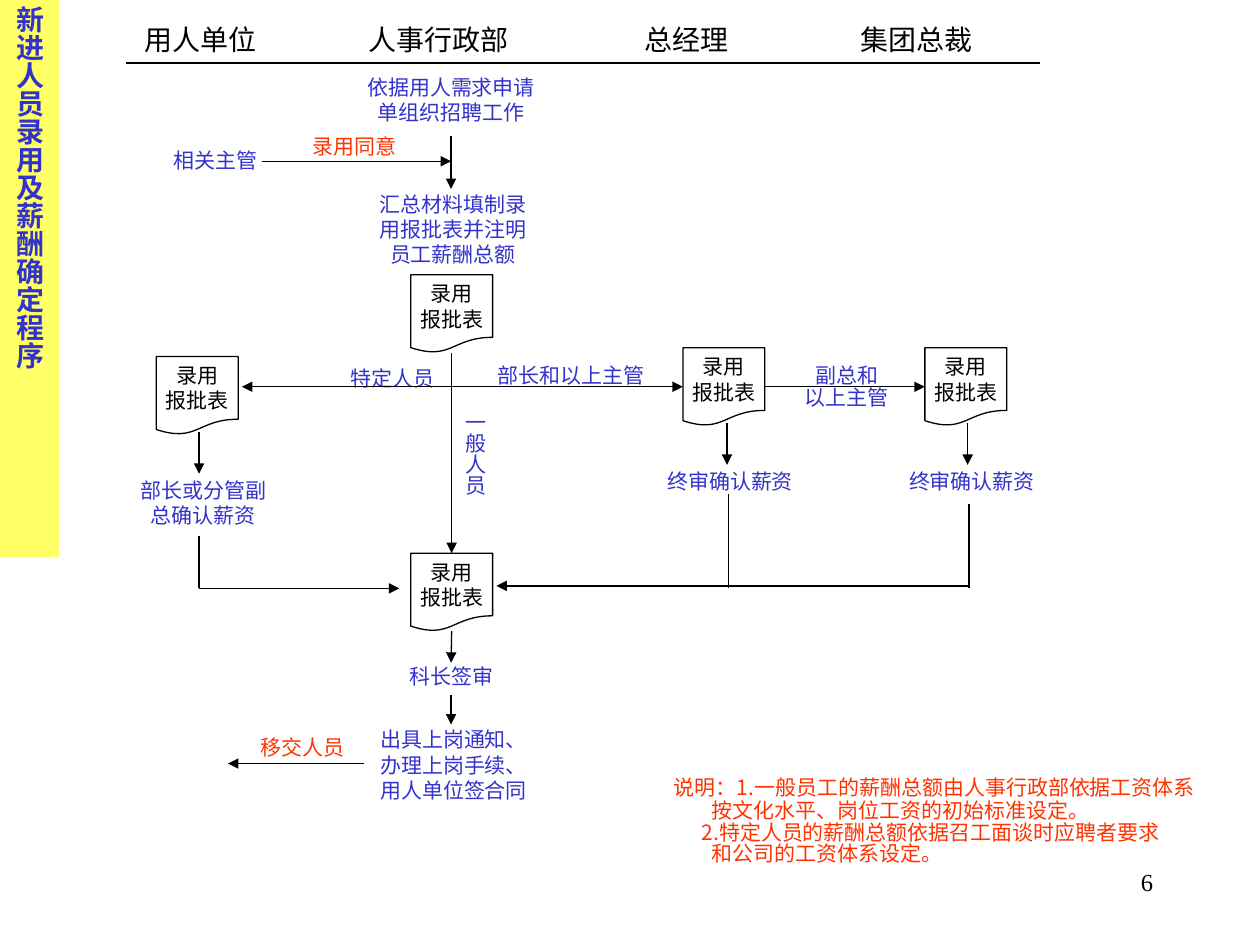
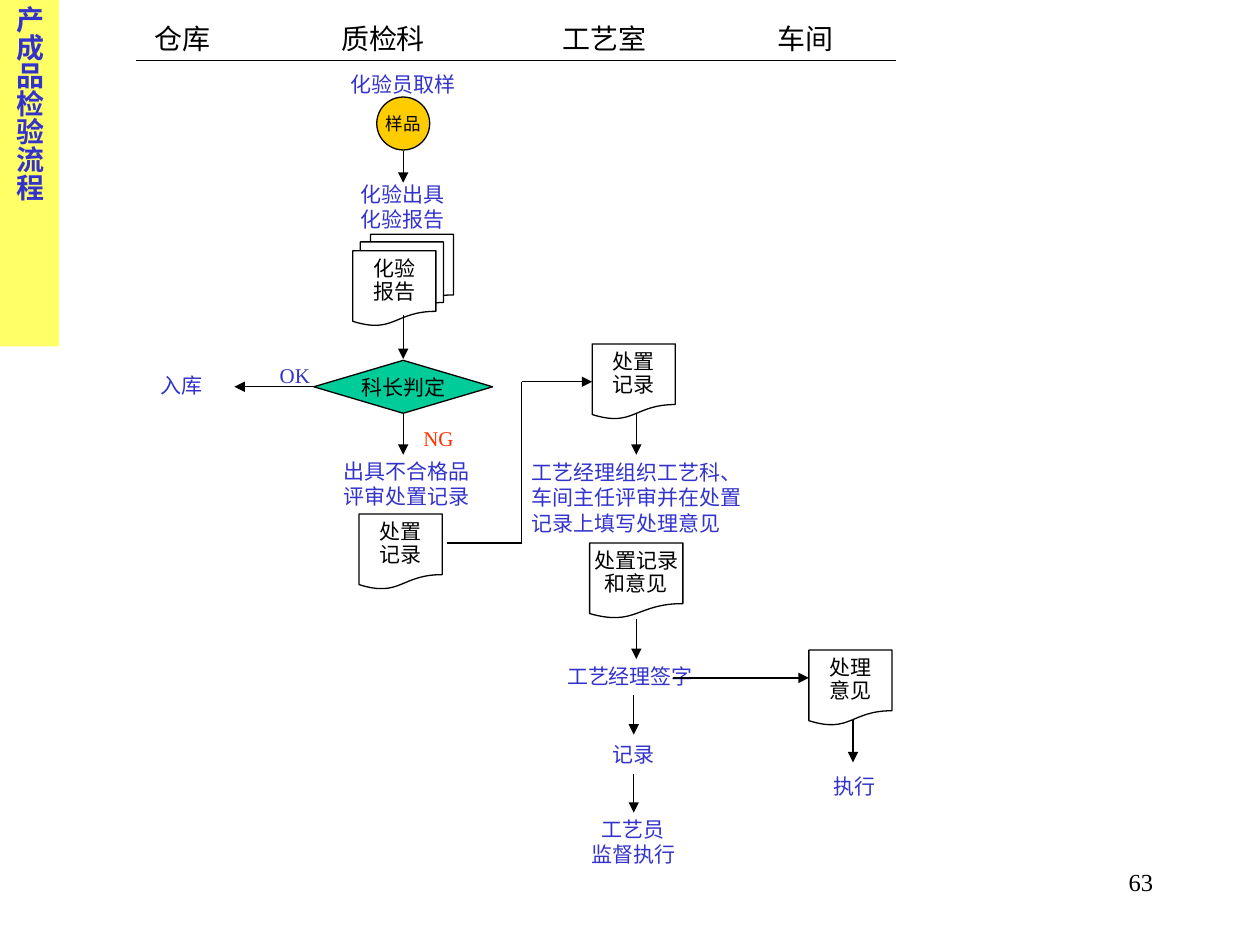
from lxml.etree import SubElement
from pptx import Presentation
from pptx.dml.color import RGBColor
from pptx.enum.shapes import MSO_CONNECTOR, MSO_SHAPE as SHAPE
from pptx.enum.text import MSO_ANCHOR, PP_ALIGN as ALIGN
from pptx.oxml.ns import qn
from pptx.util import Inches, Pt

BLACK, WHITE, BLUE, RED = "000000", "FFFFFF", "3333CC", "FF3300"
BAND, GREEN, AMBER = "FFFF66", "00CC99", "FFCC00"
LATIN, CHINESE = "Times New Roman", "Noto Sans CJK SC"
TOP, LEFT, BOTTOM, RIGHT = range(4)


def write(shape, text, size=12, color=BLUE, align=ALIGN.CENTER, bold=False,
          spacing=1.0, latin=LATIN):
    """Fill a shape with one paragraph per line of text."""
    frame = shape.text_frame
    for index, line in enumerate(text.split("\n")):
        paragraph = frame.add_paragraph() if index else frame.paragraphs[0]
        paragraph.alignment = align
        paragraph.line_spacing = spacing
        paragraph.space_before = Pt(0)
        run = paragraph.add_run()
        run.text = line
        run.font.size = Pt(size)
        run.font.bold = bold
        run.font.name = latin
        run.font.color.rgb = RGBColor.from_string(color)
        SubElement(run.font._element, qn("a:ea"), typeface=CHINESE)
    return frame


def connect(slide, x1, y1, x2, y2, arrow=True, begin=None, end=None):
    """Draw a thin line; begin and end are (shape, side) joints."""
    connector = slide.shapes.add_connector(
        MSO_CONNECTOR.STRAIGHT, Inches(x1), Inches(y1), Inches(x2), Inches(y2))
    if begin:
        connector.begin_connect(*begin)
    if end:
        connector.end_connect(*end)
    connector.line.width = Pt(0.75)
    connector.line.color.rgb = RGBColor.from_string(BLACK)
    if arrow:
        SubElement(connector.line._get_or_add_ln(), qn("a:tailEnd"), type="triangle")
    SubElement(connector._element.spPr, qn("a:effectLst"))


presentation = Presentation()
presentation.slide_width, presentation.slide_height = Inches(10), Inches(7.5)

# Title band, lane headings, rule and page number of each slide
pages = [
    ("新进人员录用及薪酬确定程序", 4.42, 0.18, (1, 8.25, 0.5), "6",
     [(1.05, "用人单位"), (2.83, "人事行政部"), (5.02, "总经理"), (6.73, "集团总裁")]),
    ("产成品检验流程", 2.75, 0.17, (1.08, 7.11, 0.48), "63",
     [(1.13, "仓库"), (2.61, "质检科"), (4.37, "工艺室"), (6.07, "车间")]),
]
# Step texts: left, top, width, height, text, colour, alignment
steps = [
    [
        (2.79, 0.54, 1.58, 0.5, "依据用人需求申请单组织招聘工作", BLUE, ALIGN.CENTER),
        (1.25, 1.12, 0.92, 0.3, "相关主管", BLUE, ALIGN.CENTER),
        (2.38, 1.01, 1.04, 0.3, "录用同意", RED, ALIGN.LEFT),
        (2.9, 1.47, 1.39, 0.7, "汇总材料填制录用报批表并注明员工薪酬总额", BLUE, ALIGN.CENTER),
        (2.5, 2.85, 1.23, 0.3, "特定人员", BLUE, ALIGN.CENTER),
        (3.83, 2.83, 1.4, 0.3, "部长和以上主管", BLUE, ALIGN.CENTER),
        (1, 3.74, 1.23, 0.5, "部长或分管副总确认薪资", BLUE, ALIGN.CENTER),
        (5.18, 3.67, 1.23, 0.3, "终审确认薪资", BLUE, ALIGN.CENTER),
        (7.1, 3.67, 1.23, 0.3, "终审确认薪资", BLUE, ALIGN.CENTER),
        (2.96, 5.22, 1.25, 0.3, "科长签审", BLUE, ALIGN.CENTER),
        (2.89, 5.72, 1.42, 0.7, "出具上岗通知、办理上岗手续、用人单位签合同", BLUE, ALIGN.CENTER),
        (1.97, 5.78, 1, 0.3, "移交人员", RED, ALIGN.LEFT),
    ],
    [
        (2.66, 0.52, 1.08, 0.3, "化验员取样", BLUE, ALIGN.CENTER),
        (2.71, 1.39, 0.97, 0.5, "化验出具化验报告", BLUE, ALIGN.CENTER),
        (2.05, 2.83, 0.58, 0.3, "OK", BLUE, ALIGN.CENTER),
        (1.15, 2.91, 0.58, 0.3, "入库", BLUE, ALIGN.CENTER),
        (3.19, 3.33, 0.58, 0.3, "NG", RED, ALIGN.CENTER),
        (2.6, 3.59, 1.25, 0.5, "出具不合格品评审处置记录", BLUE, ALIGN.CENTER),
        (4.12, 3.6, 1.89, 0.7, "工艺经理组织工艺科、车间主任评审并在处置记录上填写处理意见",
         BLUE, ALIGN.LEFT),
        (4.34, 5.22, 1.32, 0.3, "工艺经理签字", BLUE, ALIGN.CENTER),
        (4.58, 5.84, 0.9, 0.3, "记录", BLUE, ALIGN.CENTER),
        (4.54, 6.43, 0.97, 0.5, "工艺员\n监督执行", BLUE, ALIGN.CENTER),
        (6.33, 6.09, 0.9, 0.3, "执行", BLUE, ALIGN.CENTER),
    ],
]
# Nodes: name, preset, left, top, width, height, fill, text, text size, line spacing
DOCUMENT = SHAPE.FLOWCHART_DOCUMENT
FORM = "录用\n报批表"
nodes = [
    [(name, DOCUMENT, x, y, 0.65, 0.62, WHITE, FORM, 12, 1.0) for name, x, y in [
        ("draft", 3.26, 2.18), ("unit", 1.24, 2.83), ("manager", 5.42, 2.76),
        ("president", 7.34, 2.76), ("approved", 3.26, 4.39)]],
    [("sample", SHAPE.OVAL, 2.99, 0.77, 0.42, 0.42, AMBER, "样品", 10, 1.0),
     ("decision", SHAPE.FLOWCHART_DECISION, 2.49, 2.86, 1.42, 0.42, GREEN, "科长判定", 12, 1.0)]
    + [(name, DOCUMENT, x, y, width, 0.6, WHITE, text, 12, 0.9)
       for name, x, y, width, text in [
           ("copy 2", 2.94, 1.86, 0.66, ""), ("copy 1", 2.86, 1.92, 0.66, ""),
           ("report", 2.8, 1.99, 0.66, "化验\n报告"),
           ("record", 2.85, 4.08, 0.66, "处置\n记录"),
           ("review", 4.7, 2.73, 0.66, "处置\n记录"),
           ("opinion", 4.68, 4.31, 0.74, "处置记录\n和意见"),
           ("order", 6.42, 5.16, 0.66, "处理\n意见")]],
]

slides, node = [], {}
for page, page_steps, page_nodes in zip(pages, steps, nodes):
    title, band_height, heading_top, (rule_left, rule_right, rule_y), number, headings = page
    slide = presentation.slides.add_slide(presentation.slide_layouts[5])
    slides.append(slide)

    # Vertical title on the yellow band
    band = slide.shapes.title
    band.left, band.top = Inches(0), Inches(0)
    band.width, band.height = Inches(0.47), Inches(band_height)
    band.fill.solid()
    band.fill.fore_color.rgb = RGBColor.from_string(BAND)
    frame = write(band, title, 16, BLUE, ALIGN.JUSTIFY, True)
    frame.vertical_anchor = MSO_ANCHOR.TOP
    frame._txBody.bodyPr.set("vert", "eaVert")

    # Lane headings and rule
    for x, heading in headings:
        box = slide.shapes.add_textbox(Inches(x), Inches(heading_top), Inches(1.6), Inches(0.31))
        write(box, heading, 16, BLACK, ALIGN.LEFT, spacing=0.8).word_wrap = True
    connect(slide, rule_left, rule_y, rule_right, rule_y, arrow=False)

    # Step texts
    for x, y, width, height, text, color, align in page_steps:
        box = slide.shapes.add_textbox(Inches(x), Inches(y), Inches(width), Inches(height))
        write(box, text, color=color, align=align).word_wrap = True

    # Documents, sample and decision
    for name, preset, x, y, width, height, fill, text, size, spacing in page_nodes:
        shape = slide.shapes.add_shape(preset, Inches(x), Inches(y), Inches(width), Inches(height))
        shape.shadow.inherit = False
        shape.fill.solid()
        shape.fill.fore_color.rgb = RGBColor.from_string(fill)
        shape.line.width = Pt(0.75)
        shape.line.color.rgb = RGBColor.from_string(BLACK)
        if text:
            frame = write(shape, text, size, BLACK, spacing=spacing)
            frame.word_wrap = False
            frame.vertical_anchor = MSO_ANCHOR.MIDDLE
        node[name] = shape

    # Page number
    box = slide.shapes.add_textbox(Inches(7.17), Inches(6.83), Inches(2.08), Inches(0.5))
    write(box, number, 14, BLACK, ALIGN.RIGHT).word_wrap = True

hiring, inspection = slides

# Hiring: vertical branch label
box = hiring.shapes.add_textbox(Inches(3.52), Inches(3.17), Inches(0.4), Inches(1))
frame = write(box, "一般人员", align=ALIGN.LEFT)
frame.word_wrap = True
frame._txBody.bodyPr.set("vert", "eaVert")

# Hiring: tight two-line label
box = hiring.shapes.add_textbox(Inches(6.02), Inches(2.83), Inches(1.4), Inches(0.49))
frame = write(box, "副总和\n以上主管")
frame.word_wrap = True
frame.paragraphs[1].line_spacing = 0.45
frame.paragraphs[1].space_before = Pt(5)

# Hiring: explanatory note
box = hiring.shapes.add_textbox(Inches(5.25), Inches(6.1), Inches(4.5), Inches(0.9))
frame = write(box, "说明：1.一般员工的薪酬总额由人事行政部依据工资体系\n"
                   "按文化水平、岗位工资的初始标准设定。\n"
                   "2.特定人员的薪酬总额依据召工面谈时应聘者要求\n"
                   "和公司的工资体系设定。", color=RED, align=ALIGN.LEFT, latin=CHINESE)
frame.word_wrap = True
for paragraph, indent in zip(frame.paragraphs[1:], (0.3, 0.22, 0.3)):
    paragraph.line_spacing = 0.5
    paragraph.space_before = Pt(5)
    paragraph._p.get_or_add_pPr().set("marL", str(Inches(indent)))

# Hiring: arrows between steps
for x1, y1, x2, y2 in [
        (2.08, 1.28, 3.58, 1.28), (3.58, 1.08, 3.58, 1.5), (3.58, 3.07, 1.92, 3.07),
        (1.58, 3.43, 1.58, 3.76), (5.77, 3.36, 5.77, 3.69), (7.68, 3.36, 7.68, 3.69),
        (1.58, 4.67, 3.17, 4.67), (7.69, 4.65, 3.94, 4.65), (3.58, 5.52, 3.58, 5.75),
        (2.89, 6.06, 1.81, 6.06)]:
    connect(hiring, x1, y1, x2, y2)
for x, y1, y2 in [(1.58, 4.25, 4.67), (5.78, 3.92, 4.67), (7.69, 4, 4.67)]:
    connect(hiring, x, y1, x, y2, arrow=False)
connect(hiring, 3.58, 2.8, 3.58, 4.39,
        begin=(node["draft"], BOTTOM), end=(node["approved"], TOP))
connect(hiring, 3.58, 3.07, 5.42, 3.07, end=(node["manager"], LEFT))
connect(hiring, 6.07, 3.07, 7.34, 3.07,
        begin=(node["manager"], RIGHT), end=(node["president"], LEFT))
connect(hiring, 3.58, 5.01, 3.58, 5.26, begin=(node["approved"], BOTTOM))

# Inspection: arrows between steps
for x1, y1, x2, y2 in [
        (3.2, 1.2, 3.2, 1.45), (3.2, 2.5, 3.2, 2.85), (5.05, 3.28, 5.05, 3.61),
        (5.03, 5.52, 5.03, 5.83), (5.03, 6.14, 5.03, 6.45), (5.34, 5.38, 6.42, 5.38),
        (6.77, 5.71, 6.77, 6.05)]:
    connect(inspection, x1, y1, x2, y2)
connect(inspection, 2.49, 3.07, 1.86, 3.07, begin=(node["decision"], LEFT))
connect(inspection, 3.2, 3.28, 3.2, 3.61, begin=(node["decision"], BOTTOM))
connect(inspection, 5.05, 4.91, 5.05, 5.23, begin=(node["opinion"], BOTTOM))

# Inspection: elbow from the record to its review
connect(inspection, 3.55, 4.31, 4.14, 4.31, arrow=False)
connect(inspection, 4.14, 4.31, 4.14, 3.03, arrow=False)
connect(inspection, 4.14, 3.03, 4.7, 3.03, end=(node["review"], LEFT))

presentation.save("out.pptx")
